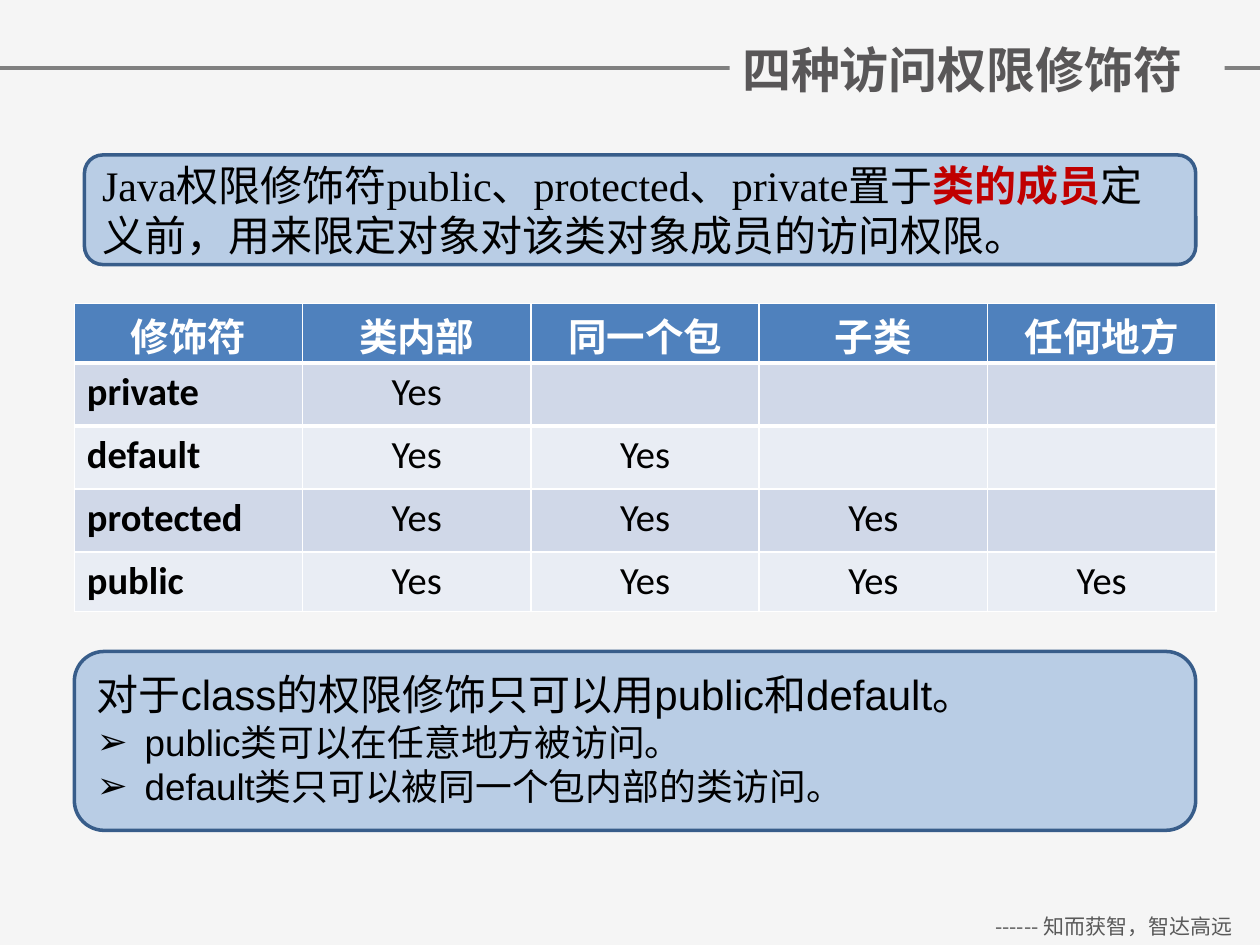
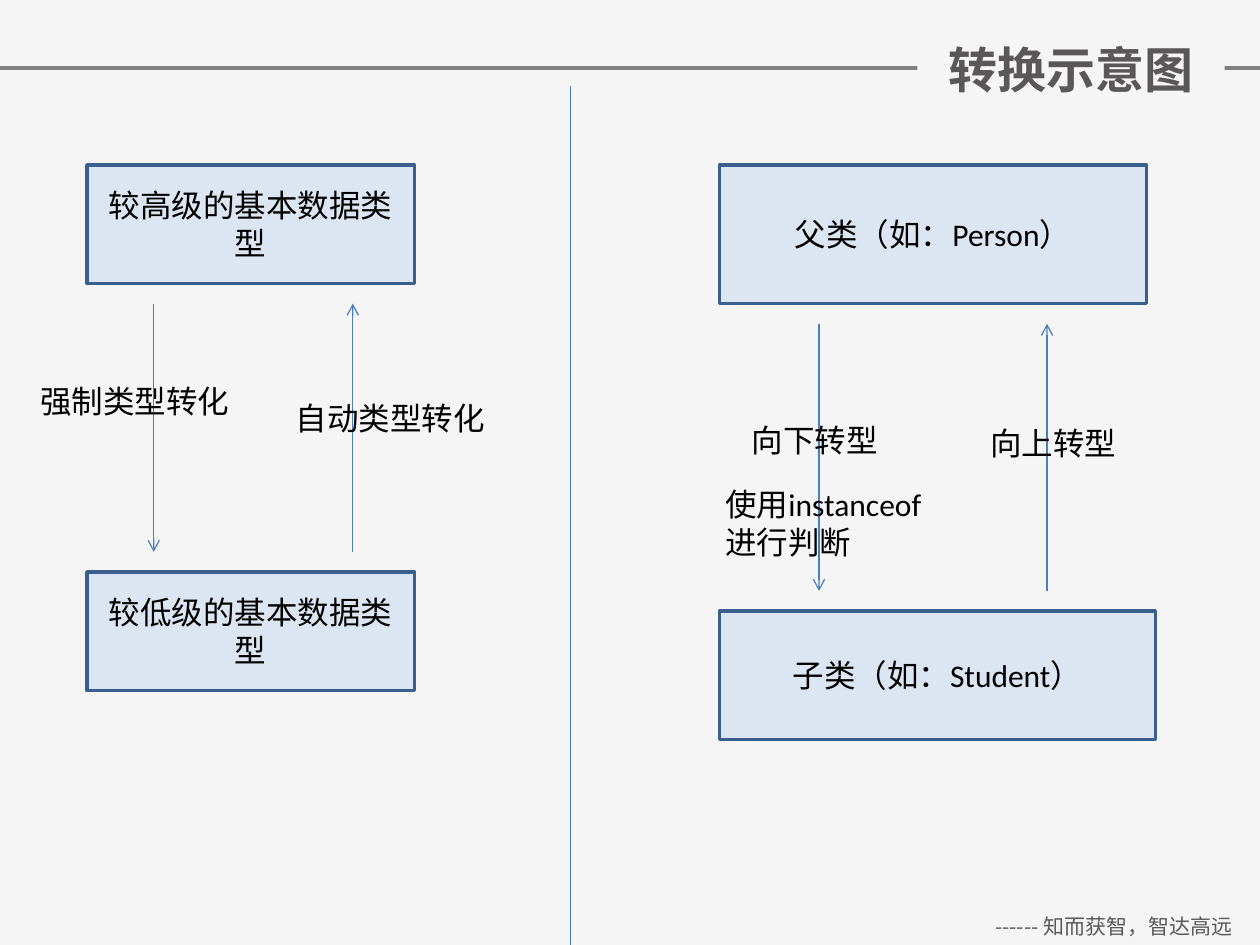
from lxml.etree import Element, SubElement
from pptx import Presentation
from pptx.dml.color import RGBColor
from pptx.enum.shapes import MSO_CONNECTOR as CONN, MSO_SHAPE as SHAPE
from pptx.enum.text import MSO_ANCHOR as ANCHOR, MSO_AUTO_SIZE as FIT, PP_ALIGN as AL
from pptx.oxml.ns import qn
from pptx.util import Inches, Pt

C = {
    "bg": "F5F5F5", "rule": "808080", "footer": "595959", "title": "595758",
    "black": "000000", "white": "FFFFFF", "red": "C00000",
    "panel": "B9CDE5", "panel_line": "385D8A",
    "box": "DCE6F2", "box_line": "3A5F8C", "arrow": "4B7EBC",
    "head": "4F81BD", "odd": "D0D8E8", "even": "E9EDF4",
}
CJK = "Noto Sans CJK SC"
FOOTER = "------ 知而获智，智达高远"

MODIFIER_TITLE = "四种访问权限修饰符"
INTRO = [
    ("Java权限修饰符public、protected、private置于", {}),
    ("类的成员", {"color": "red", "bold": True}),
    ("定义前，用来限定对象对该类对象成员的访问权限。", {}),
]
SCOPES = ["修饰符", "类内部", "同一个包", "子类", "任何地方"]
MODIFIERS = ["private", "default", "protected", "public"]
ROW_HEIGHTS = [0.47, 0.5, 0.5, 0.5, 0.47]
CLASS_RULE = "对于class的权限修饰只可以用public和default。"
CLASS_NOTES = ["public类可以在任意地方被访问。", "default类只可以被同一个包内部的类访问。"]

CONVERSION_TITLE = "转换示意图"
ARROW_GAP = 0.16
CONVERSIONS = [
    {
        "upper": ("较高级的基本数据类型", (0.69, 1.31, 2.6, 0.94)),
        "lower": ("较低级的基本数据类型", (0.69, 4.54, 2.6, 0.94)),
        "down_x": 1.22, "up_x": 2.8,
        "labels": [("自动类型转化", (2.25, 3.12, 1.73, 0.4)),
                   ("强制类型转化", (0.22, 2.98, 1.99, 0.4))],
    },
    {
        "upper": ("父类（如：Person）", (5.71, 1.31, 3.39, 1.1)),
        "lower": ("子类（如：Student）", (5.71, 4.85, 3.46, 1.02)),
        "down_x": 6.5, "up_x": 8.31,
        "labels": [("向上转型", (7.76, 3.32, 1.73, 0.4)),
                   ("向下转型", (5.87, 3.29, 1.73, 0.4)),
                   ("使用instanceof进行判断", (5.66, 3.8, 1.9, 0.71))],
    },
]


def rgb(name):
    return RGBColor.from_string(C[name])


def write(p, text, size=18, font="Calibri", color="black", bold=False, align=AL.LEFT):
    p.alignment = align
    r = p.add_run()
    r.text = text
    r.font.name = font
    r.font.size = Pt(size)
    r.font.bold = bold
    r.font.color.rgb = rgb(color)
    SubElement(r._r.get_or_add_rPr(), qn("a:ea")).set("typeface", CJK)


def add_box(s, kind, at, fill, line):
    sp = s.shapes.add_shape(kind, *map(Inches, at))
    sp.shadow.inherit = False
    sp.fill.solid()
    sp.fill.fore_color.rgb = rgb(fill)
    sp.line.color.rgb = rgb(line)
    sp.line.width = Pt(2)
    tf = sp.text_frame
    tf.word_wrap = True
    tf.vertical_anchor = ANCHOR.MIDDLE
    return tf


def add_text(s, text, at, **fmt):
    tf = s.shapes.add_textbox(*map(Inches, at)).text_frame
    tf.word_wrap = True
    write(tf.paragraphs[0], text, **fmt)
    return tf


def add_line(s, start, end, color="arrow", width=0.75, arrow=False):
    cx = s.shapes.add_connector(CONN.STRAIGHT, *map(Inches, start + end))
    cx.line.color.rgb = rgb(color)
    cx.line.width = Pt(width)
    spPr = cx.element.spPr
    if arrow:
        SubElement(spPr.find(qn("a:ln")), qn("a:tailEnd")).set("type", "arrow")
    SubElement(spPr, qn("a:effectLst"))


def add_bullet(tf, text, **fmt):
    p = tf.add_paragraph()
    pPr = p._p.get_or_add_pPr()
    pPr.set("marL", str(Inches(0.38)))
    pPr.set("indent", str(-Inches(0.38)))
    SubElement(pPr, qn("a:buFont")).set("typeface", "Arial")
    SubElement(pPr, qn("a:buChar")).set("char", "➢")
    write(p, text, **fmt)


def set_border(cell, side, width):
    ln = Element(qn("a:" + side), w=str(Pt(width)))
    fill = SubElement(ln, qn("a:solidFill"))
    SubElement(fill, qn("a:srgbClr")).set("val", C["white"])
    cell._tc.get_or_add_tcPr().insert(0, ln)


def new_slide(prs, title, at, align):
    s = prs.slides.add_slide(prs.slide_layouts[5])
    s.background.fill.solid()
    s.background.fill.fore_color.rgb = rgb("bg")
    add_line(s, (0, 0.54), (10, 0.54), color="rule", width=2)
    add_text(s, FOOTER, (7.68, 7.2, 2.32, 0.3), size=12, font=CJK, color="footer", align=AL.CENTER)
    sp = s.shapes.title
    sp.left, sp.top, sp.width, sp.height = map(Inches, at)
    sp.fill.solid()
    sp.fill.fore_color.rgb = rgb("bg")
    tf = sp.text_frame
    tf.auto_size = FIT.NONE
    tf.vertical_anchor = ANCHOR.MIDDLE
    write(tf.paragraphs[0], title, size=28, font=CJK, color="title", bold=True, align=align)
    sp.element.getparent().append(sp.element)
    return s


def add_scope_table(s):
    rows = [SCOPES] + [
        [name] + ["Yes" if col <= i else "" for col in range(len(SCOPES) - 1)]
        for i, name in enumerate(MODIFIERS)
    ]
    at = (0.59, 2.41, 9.06, sum(ROW_HEIGHTS))
    table = s.shapes.add_table(len(rows), len(SCOPES), *map(Inches, at)).table
    for i, row in enumerate(rows):
        table.rows[i].height = Inches(ROW_HEIGHTS[i])
        for j, text in enumerate(row):
            cell = table.cell(i, j)
            cell.fill.solid()
            cell.fill.fore_color.rgb = rgb("head" if i == 0 else "odd" if i % 2 else "even")
            if i == 0:
                cell.margin_top, cell.margin_bottom = Inches(0.03), 0
                set_border(cell, "lnB", 3)
            elif i == 1:
                set_border(cell, "lnT", 3)
            if text:
                write(cell.text_frame.paragraphs[0], text, size=22,
                      font="Calibri" if i else CJK, color="black" if i else "white",
                      bold=i == 0 or j == 0, align=AL.LEFT if i and j == 0 else AL.CENTER)


def modifier_slide(prs):
    s = new_slide(prs, MODIFIER_TITLE, (5.79, 0.26, 3.93, 0.57), AL.LEFT)
    add_box(s, SHAPE.ROUNDED_RECTANGLE, (0.59, 5.17, 8.9, 1.42), "panel", "panel_line")
    tf = add_box(s, SHAPE.ROUNDED_RECTANGLE, (0.67, 1.23, 8.82, 0.87), "panel", "panel_line")
    for text, fmt in INTRO:
        write(tf.paragraphs[0], text, size=24, font="Times New Roman", **fmt)
    add_scope_table(s)
    tf = add_text(s, CLASS_RULE, (0.67, 5.26, 8.9, 1.25), size=24, font="Arial")
    for note in CLASS_NOTES:
        add_bullet(tf, note, size=21, font="Arial")


def conversion_slide(prs):
    s = new_slide(prs, CONVERSION_TITLE, (7.28, 0.26, 2.44, 0.57), AL.CENTER)
    add_line(s, (4.53, 0.68), (4.53, 7.5))
    for conv in CONVERSIONS:
        for text, at in (conv["upper"], conv["lower"]):
            tf = add_box(s, SHAPE.RECTANGLE, at, "box", "box_line")
            write(tf.paragraphs[0], text, align=AL.CENTER)
        _, (_, upper_top, _, upper_height) = conv["upper"]
        top = upper_top + upper_height + ARROW_GAP
        bottom = conv["lower"][1][1] - ARROW_GAP
        add_line(s, (conv["up_x"], bottom), (conv["up_x"], top), arrow=True)
        add_line(s, (conv["down_x"], top), (conv["down_x"], bottom), arrow=True)
        for text, at in conv["labels"]:
            add_text(s, text, at)


def main():
    prs = Presentation()
    prs.slide_width, prs.slide_height = Inches(10), Inches(7.5)
    modifier_slide(prs)
    conversion_slide(prs)
    prs.save("out.pptx")


if __name__ == "__main__":
    main()
